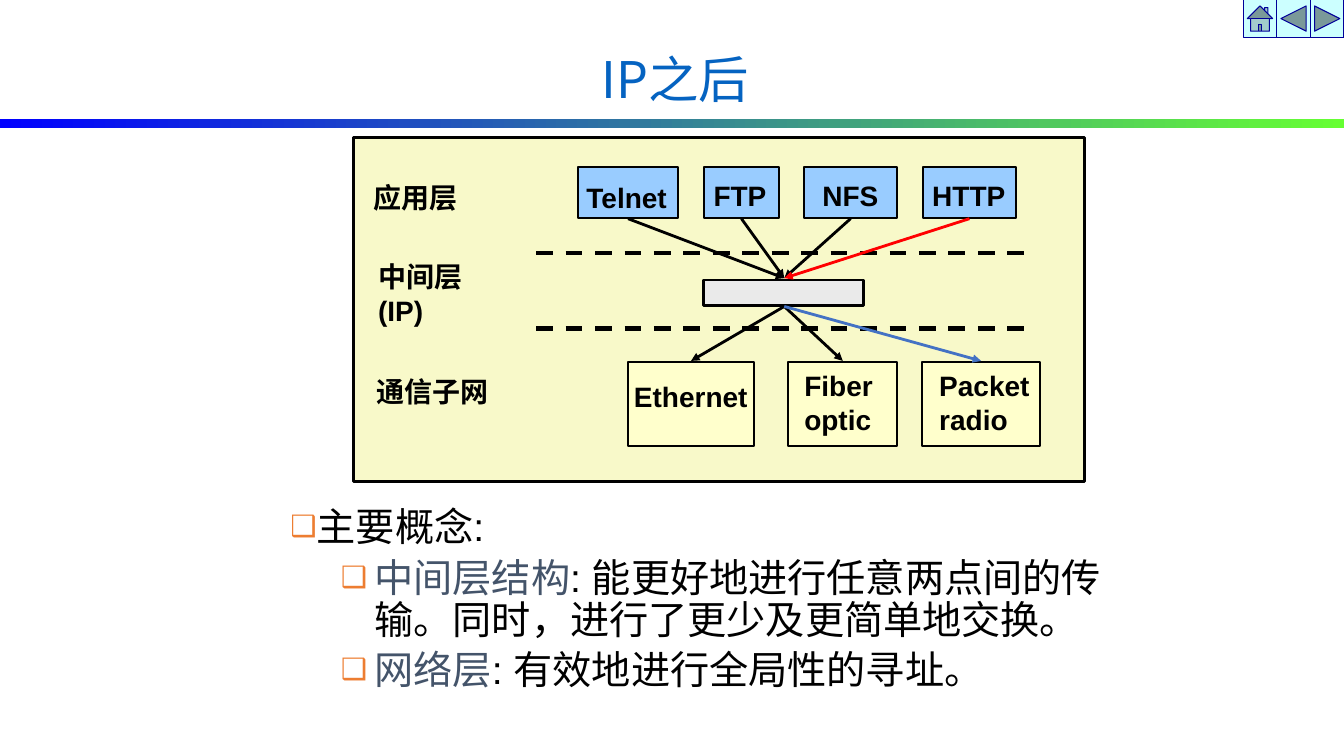
from lxml.etree import SubElement
from pptx import Presentation
from pptx.dml.color import RGBColor
from pptx.enum.dml import MSO_LINE
from pptx.enum.shapes import MSO_CONNECTOR, MSO_SHAPE
from pptx.enum.text import PP_ALIGN
from pptx.oxml.ns import qn
from pptx.util import Pt

COLORS = {
    "black": "000000", "red": "FF0000", "blue": "4472C4", "title": "0563C1",
    "panel": "F8F9C9", "application": "99CCFF", "subnet": "FFFFCC",
    "middle": "EAEAEA", "button": "CCFFFF", "button_line": "000099",
    "band_start": "0000FF", "band_end": "66FF33",
    "term": "44546A", "bullet": "ED7D31",
}
BUTTONS = [MSO_SHAPE.ACTION_BUTTON_HOME, MSO_SHAPE.ACTION_BUTTON_BACK_OR_PREVIOUS,
           MSO_SHAPE.ACTION_BUTTON_FORWARD_OR_NEXT]
LAYERS = [("应用层", 259.4, 125.3, 76), ("中间层\n(IP)", 263, 182, 80),
          ("通信子网", 261.8, 263.9, 98)]
APPLICATIONS = [("Telnet", 412.6, 72, 411.8, 125.3, 80, "black"),
                ("FTP", 502.6, 54, 502.6, 124.2, 56, "black"),
                ("NFS", 574.6, 66, 580.3, 124.2, 58, "black"),
                ("HTTP", 659.5, 66, 658.8, 124.2, 70, "red")]
SUBNETS = [("Ethernet", 448.6, 90, 445.7, 267.8, 98, "black"),
           ("Fiber\noptic", 563, 78, 567.4, 260, 70, "black"),
           ("Packet\nradio", 658.8, 84, 663.8, 260, 84, "blue")]
CONCEPTS = [("", "主要概念:", 15, -15),
            ("中间层结构", ": 能更好地进行任意两点间的传输。同时，进行了更少及更简单地交换。", 60, -24),
            ("网络层", ": 有效地进行全局性的寻址。", 60, -24)]
HUB_X = 560.2


def color(name):
    return RGBColor.from_string(COLORS[name])


def add_box(page, left, top, width, height, fill, weight=1.5, line="black",
            kind=MSO_SHAPE.RECTANGLE):
    box = page.shapes.add_shape(kind, Pt(left), Pt(top), Pt(width), Pt(height))
    box.shadow.inherit = False
    box.fill.solid()
    box.fill.fore_color.rgb = color(fill)
    box.line.color.rgb = color(line)
    box.line.width = Pt(weight)


def add_band(page):
    band = page.shapes.add_shape(MSO_SHAPE.RECTANGLE, 0, Pt(85), Pt(960), Pt(6.5))
    band.shadow.inherit = False
    band.line.fill.background()
    band.fill.gradient()
    band.fill.gradient_angle = 0
    for stop, position, name in zip(band.fill.gradient_stops, (0, 1),
                                    ("band_start", "band_end")):
        stop.position = position
        stop.color.rgb = color(name)


def add_text(page, left, top, width, height, wrap=True):
    box = page.shapes.add_textbox(Pt(left), Pt(top), Pt(width), Pt(height))
    box.text_frame.word_wrap = wrap
    return box.text_frame


def style(para, size, font="Arial", name="black", bold=False):
    para.font.size = Pt(size)
    para.font.name = font
    para.font.bold = bold
    para.font.color.rgb = color(name)


def add_label(page, text, left, top, width):
    height = 55.4 if "\n" in text else 31
    frame = add_text(page, left, top, width, height, wrap=False)
    frame.text = text
    for para in frame.paragraphs:
        style(para, 20, bold=True)


def add_line(page, start, end, name="black", weight=2, dashed=False):
    line = page.shapes.add_connector(MSO_CONNECTOR.STRAIGHT, *map(Pt, start + end))
    line.line.color.rgb = color(name)
    line.line.width = Pt(weight)
    if dashed:
        line.line.dash_style = MSO_LINE.DASH
    else:
        SubElement(line.line._get_or_add_ln(), qn("a:tailEnd"), type="triangle")
    SubElement(line._element.spPr, qn("a:effectLst"))


def add_bullet(para, margin, indent):
    props = para._p.get_or_add_pPr()
    props.set("marL", str(Pt(margin)))
    props.set("indent", str(Pt(indent)))
    tint = SubElement(props, qn("a:buClr"))
    SubElement(tint, qn("a:srgbClr"), val=COLORS["bullet"])
    SubElement(props, qn("a:buSzPct"), val="75000")
    SubElement(props, qn("a:buFont"), typeface="Arial")
    SubElement(props, qn("a:buChar"), char="❑")


def add_title(page):
    para = add_text(page, 176.4, 36, 612, 90).paragraphs[0]
    para.text = "IP之后"
    para.alignment = PP_ALIGN.CENTER
    para.line_spacing = 0.9
    style(para, 36, "Noto Sans CJK JP", "title")


def add_concepts(page):
    frame = add_text(page, 200.4, 359.3, 597.6, 142)
    for index, (term, text, margin, indent) in enumerate(CONCEPTS):
        para = frame.add_paragraph() if index else frame.paragraphs[0]
        para.line_spacing = 0.9
        if index:
            para.level = 1
            para.space_before = Pt(5.6)
        add_bullet(para, margin, indent)
        style(para, 28)
        if term:
            span = para.add_run()
            span.text = term
            span.font.color.rgb = color("term")
        para.add_run().text = text


def add_diagram(page):
    add_box(page, 252.4, 98, 522, 246, "panel", 2)
    for layer in LAYERS:
        add_label(page, *layer)
    for y in (180.7, 234.7):
        add_line(page, (383, y), (736.6, y), weight=3, dashed=True)
    add_box(page, 502.6, 200, 114, 18, "middle", 2)
    for text, left, width, text_left, text_top, text_width, name in APPLICATIONS:
        add_box(page, left, 119.5, width, 36, "application")
        add_label(page, text, text_left, text_top, text_width)
        add_line(page, (left + width / 2, 156.2), (HUB_X, 198.7), name)
    for text, left, width, text_left, text_top, text_width, name in SUBNETS:
        add_box(page, left, 258.5, width, 60, "subnet")
        add_label(page, text, text_left, text_top, text_width)
        add_line(page, (HUB_X, 218.9), (left + width / 2, 257.8), name)


def main():
    deck = Presentation()
    deck.slide_width, deck.slide_height = Pt(960), Pt(540)
    page = deck.slides.add_slide(deck.slide_layouts[6])
    for index, kind in enumerate(BUTTONS):
        add_box(page, 888 + 24 * index, 0, 24, 26.6, "button", 0.75, "button_line", kind)
    add_band(page)
    add_diagram(page)
    add_concepts(page)
    add_title(page)
    deck.save("out.pptx")


if __name__ == "__main__":
    main()
